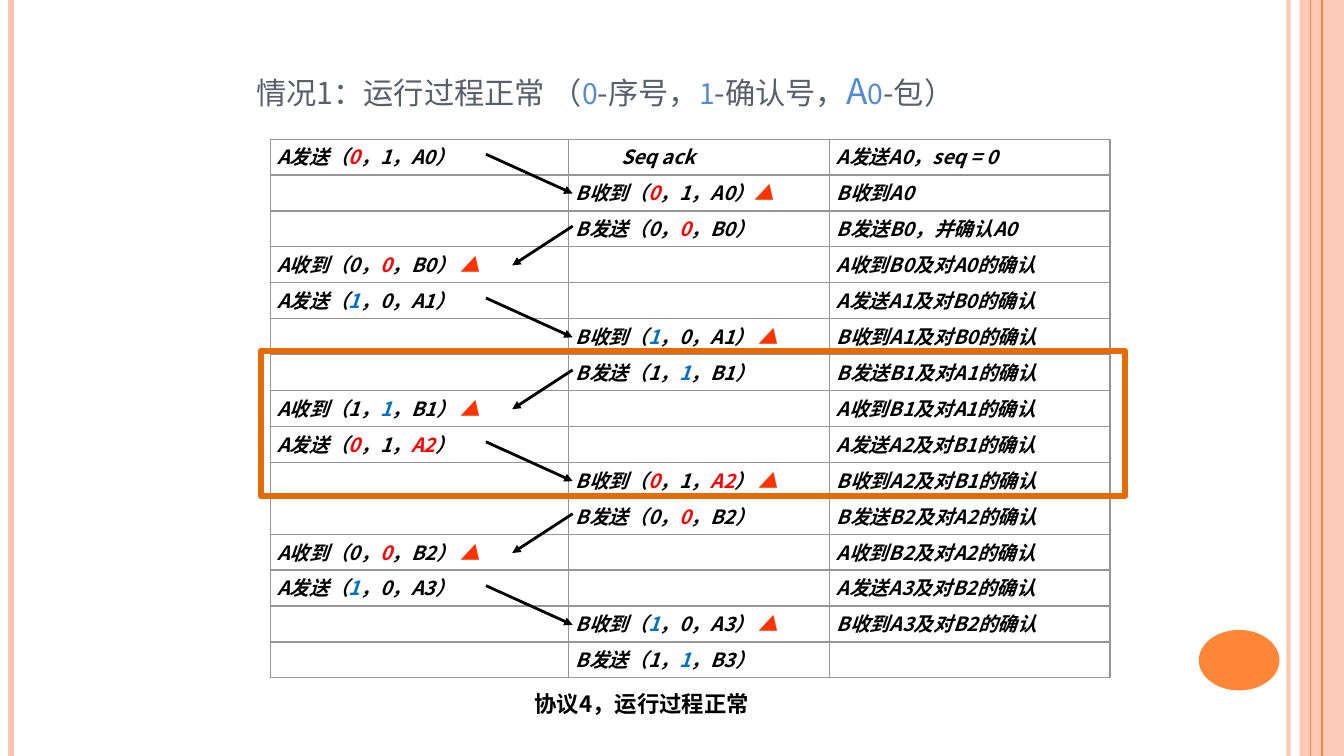
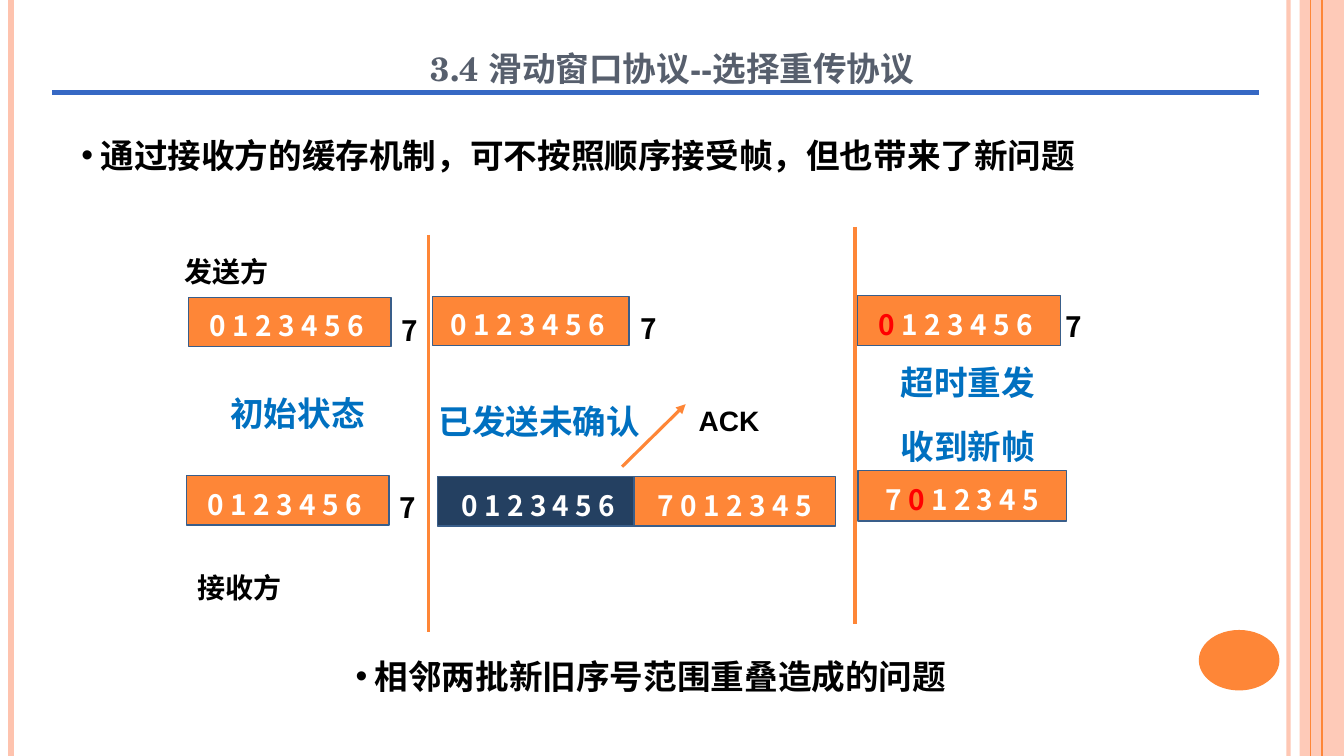
from dataclasses import dataclass
from typing import NamedTuple

from lxml import etree
from pptx import Presentation
from pptx import util as u
from pptx.dml.color import RGBColor
from pptx.enum import shapes, text
from pptx.oxml import ns

IN = u.Inches
CENTER = text.PP_ALIGN.CENTER


@dataclass(frozen=True)
class Theme:
    cjk: str = "Noto Sans CJK SC"
    sans: str = "Arial"
    serif: str = "TeX Gyre Schola"
    ink: str = "000000"
    white: str = "FFFFFF"
    title: str = "575F6D"
    title_accent: str = "538CD5"
    orange: str = "FE8637"
    peach: str = "FEC3AE"
    navy: str = "244061"
    strip_edge: str = "395E8A"
    blue: str = "0070C0"
    red: str = "FF0000"
    marker: str = "FF3300"
    grid: str = "969696"
    highlight: str = "E36C09"
    rule: str = "3668C4"
    cell_size: float = 14
    caption_size: float = 16
    label_size: float = 20
    body_size: float = 24
    accent_size: float = 25.2
    case_size: float = 27
    title_size: float = 30


T = Theme()


class Run(NamedTuple):
    text: str
    color: str | None = None
    size: float | None = None


class Box(NamedTuple):
    x: float
    y: float
    w: float
    h: float


class Style(NamedTuple):
    size: float
    color: str = T.ink
    font: str = T.cjk
    bold: bool = True
    italic: bool = False
    small_caps: bool = False


class Line(NamedTuple):
    x1: float
    y1: float
    x2: float
    y2: float
    color: str
    width: float
    arrow: bool = False
    alpha: int = 100


class Label(NamedTuple):
    box: Box
    text: str
    style: Style


class Strip(NamedTuple):
    box: Box
    runs: list[Run]
    fill: str = T.orange


class Frame(NamedTuple):
    sender: str
    seq: int
    ack: int
    name: str
    sent_note: str
    got_note: str
    name_color: str | None = None
    gap: str = " "


CELL = Style(T.cell_size, italic=True)
SIDE = Style(T.label_size, font=T.sans)
DIGIT = Style(T.label_size)
STRIP = Style(T.label_size, T.white)
STATE = Style(T.body_size, T.blue)
BULLET = Style(T.body_size, font=T.sans)


def rgb(value: str) -> RGBColor:
    return RGBColor.from_string(value)


def place(sp, box: Box) -> None:
    sp.left, sp.top, sp.width, sp.height = map(IN, box)


def write(p, runs: list[Run], style: Style, align=None, spacing=None) -> None:
    font = p.font
    font.size, font.bold, font.italic = u.Pt(style.size), style.bold, style.italic
    font.color.rgb = rgb(style.color)
    font.name = style.font
    props = p._p.xpath("./a:pPr/a:defRPr")[0]
    etree.SubElement(props, ns.qn("a:ea"), typeface=T.cjk)
    if style.small_caps:
        props.set("cap", "small")
    if align is not None:
        p.alignment = align
    if spacing:
        p.line_spacing = spacing
    for run in runs:
        r = p.add_run()
        r.text = run.text
        if run.color:
            r.font.color.rgb = rgb(run.color)
        if run.size:
            r.font.size = u.Pt(run.size)


def set_alpha(sp, percent: int) -> None:
    color = sp.element.spPr.xpath(".//a:srgbClr")[0]
    etree.SubElement(color, ns.qn("a:alpha"), val=str(percent * 1000))


def add_line(slide, line: Line):
    ends = map(IN, (line.x1, line.y1, line.x2, line.y2))
    sp = slide.shapes.add_connector(shapes.MSO_CONNECTOR.STRAIGHT, *ends)
    sp.line.color.rgb = rgb(line.color)
    sp.line.width = u.Pt(line.width)
    if line.alpha < 100:
        set_alpha(sp, line.alpha)
    if line.arrow:
        etree.SubElement(sp.line._ln, ns.qn("a:tailEnd"), type="triangle")
    etree.SubElement(sp.element.spPr, ns.qn("a:effectLst"))
    return sp


def add_shape(slide, box: Box, fill: str | None = None, edge: str | None = None,
              width: float = 1, kind=shapes.MSO_SHAPE.RECTANGLE):
    sp = slide.shapes.add_shape(kind, *map(IN, box))
    sp.shadow.inherit = False
    if fill:
        sp.fill.solid()
        sp.fill.fore_color.rgb = rgb(fill)
    else:
        sp.fill.background()
    if edge:
        sp.line.color.rgb = rgb(edge)
        sp.line.width = u.Pt(width)
    else:
        sp.line.fill.background()
    return sp


def add_label(slide, label: Label) -> None:
    tf = slide.shapes.add_textbox(*map(IN, label.box)).text_frame
    tf.word_wrap = True
    write(tf.paragraphs[0], [Run(label.text)], label.style, CENTER, 1.2)


def add_strip(slide, strip: Strip) -> None:
    tf = add_shape(slide, strip.box, strip.fill, T.strip_edge).text_frame
    tf.vertical_anchor = text.MSO_ANCHOR.MIDDLE
    write(tf.paragraphs[0], strip.runs, STRIP, CENTER, 1.2)


def set_title(slide, box: Box, runs: list[Run], style: Style, align, spacing=None) -> None:
    sp = slide.shapes.title
    place(sp, box)
    tf = sp.text_frame
    tf.auto_size = text.MSO_AUTO_SIZE.NONE
    tf.vertical_anchor = text.MSO_ANCHOR.BOTTOM
    write(tf.paragraphs[0], runs, style, align, spacing)


def set_bullet(sp, box: Box, content: str, spacing: float) -> None:
    place(sp, box)
    tf = sp.text_frame
    tf.auto_size = text.MSO_AUTO_SIZE.NONE
    p = tf.paragraphs[0]
    write(p, [Run(content)], BULLET, CENTER, spacing)
    p.space_before = u.Pt(7.5)
    pPr = p._p.get_or_add_pPr()
    pPr.set("marL", str(IN(0.19)))
    pPr.set("indent", str(-IN(0.19)))


def decorate_master(prs, slide) -> None:
    band = add_shape(slide, Box(12.89, 0, 0.44, 7.5), T.peach)
    set_alpha(band, 87)
    rails = [(12.78, T.peach, 3, 93), (0.11, T.peach, 4.5, 100),
             (13.11, T.orange, 1.5, 100), (13, T.orange, 0.75, 100)]
    parts = [band] + [add_line(slide, Line(x, 0, x, 7.5, color, width, alpha=alpha))
                      for x, color, width, alpha in rails]
    parts.append(add_shape(slide, Box(11.89, 6.25, 0.8, 0.6), T.orange,
                           kind=shapes.MSO_SHAPE.OVAL))
    tree = prs.slide_master.shapes.element
    for i, sp in enumerate(parts):
        sp.element.xpath(".//p:cNvPr")[0].set("id", str(100 + i))
        tree.insert(2 + i, sp.element)


def frame_runs(frame: Frame, actor: str) -> list[Run]:
    received = actor != frame.sender
    numbers = [Run(str(n)) for n in (frame.seq, frame.ack)]
    key = 0 if frame.sender == "A" else 1
    numbers[key] = Run(numbers[key].text, (T.red, T.blue)[int(numbers[key].text)])
    runs = [Run(f"{actor}{'收到' if received else '发送'}（"), numbers[0], Run("，"),
            numbers[1], Run("，"), Run(frame.name, frame.name_color)]
    runs.append(Run("）" + (frame.gap if received else "")))
    return runs + [Run("▲", T.marker)] if received else runs


def exchange() -> list[Frame]:
    frames = [Frame("A", 0, 1, "A0", "A发送A0，seq = 0", "B收到A0", gap=""),
              Frame("B", 0, 0, "B0", "B发送B0，并确认A0", "A收到B0及对A0的确认")]
    for i in range(2, 8):
        sender, receiver = ("A", "B") if i % 2 == 0 else ("B", "A")
        n = i // 2
        name, previous = f"{sender}{n}", frames[-1].name
        note = f"{name}及对{previous}的确认"
        frames.append(Frame(sender, n % 2, n % 2 if sender == "B" else 1 - n % 2, name,
                            f"{sender}发送{note}" if name != "B3" else "",
                            f"{receiver}收到{note}", T.red if name == "A2" else None))
    return frames


def add_exchange_table(slide, frames: list[Frame], box: Box, row_count: int) -> None:
    table = slide.shapes.add_table(row_count, 3, *map(IN, box)).table
    table.first_row = table.horz_banding = False
    for column, width in zip(table.columns, (2.96, 2.59, 2.78)):
        column.width = IN(width)
    for i, row in enumerate(table.rows):
        row.height = IN(box.h / row_count)
        frame = frames[i // 2]
        actor = frame.sender if i % 2 == 0 else "BA"["AB".index(frame.sender)]
        note = frame.got_note if i % 2 else frame.sent_note
        content = {"AB".index(actor): frame_runs(frame, actor)}
        if note:
            content[2] = [Run(note)]
        if i == 0:
            content[1] = [Run("Seq ack")]
        for j, cell in enumerate(row.cells):
            cell.margin_left = cell.margin_right = IN(0.07)
            cell.margin_top = cell.margin_bottom = IN(0.03)
            tcPr = cell._tc.get_or_add_tcPr()
            for side in ("lnL", "lnR", "lnT", "lnB"):
                ln = etree.SubElement(tcPr, ns.qn(f"a:{side}"), w=str(u.Pt(1)))
                fill = etree.SubElement(ln, ns.qn("a:solidFill"))
                etree.SubElement(fill, ns.qn("a:srgbClr"), val=T.grid)
            cell.fill.background()
            write(cell.text_frame.paragraphs[0], content.get(j, []), CELL)
    header = table.cell(0, 1).text_frame.paragraphs[0]
    header._p.get_or_add_pPr().set("marL", str(IN(0.45)))


def build_normal_run(slide) -> None:
    frames, box, row_count = exchange(), Box(2.68, 1.38, 8.33, 5.35), 15
    add_exchange_table(slide, frames, box, row_count)
    for i, frame in enumerate(frames[:-1]):
        y = box.y + 2 * i * box.h / row_count + 0.15
        x1, x2 = (4.82, 5.68) if frame.sender == "A" else (5.68, 5.08)
        add_line(slide, Line(x1, y, x2, y + 0.39, T.ink, 2, arrow=True))
    add_label(slide, Label(Box(4.47, 6.74, 3.79, 0.42), "协议4，运行过程正常",
                           Style(T.caption_size)))
    add_shape(slide, Box(2.59, 3.48, 8.57, 1.44), edge=T.highlight, width=4.5)
    runs = [Run("情况1：运行过程正常 （")]
    for key, meaning in (("0", "-序号，"), ("1", "-确认号，"), ("A0", "-包）")):
        runs += [Run(key, T.title_accent, T.accent_size), Run(meaning)]
    set_title(slide, Box(2.44, 0.58, 8.72, 0.58), runs,
              Style(T.case_size, T.title, bold=False, small_caps=True), text.PP_ALIGN.LEFT)


def build_selective_repeat(slide) -> None:
    set_title(slide, Box(2.22, 0.1, 8.9, 0.84), [Run("3.4 滑动窗口协议--选择重传协议")],
              Style(T.title_size, T.title, T.serif, small_caps=True), CENTER, 1.2)
    top, bottom = list(slide.placeholders)[1:]
    set_bullet(top, Box(0.52, 1.26, 10.43, 0.99),
               "通过接收方的缓存机制，可不按照顺序接受帧，但也带来了新问题", 1.08)
    set_bullet(bottom, Box(2.15, 6.38, 8.61, 0.99), "相邻两批新旧序号范围重叠造成的问题", 1.2)
    first = [Run("0 1 2 3 4 5 6 ")]
    for strip in (
        Strip(Box(1.87, 2.95, 2.01, 0.49), first),
        Strip(Box(1.85, 4.72, 2.01, 0.49), first),
        Strip(Box(4.29, 2.94, 1.95, 0.49), first),
        Strip(Box(4.34, 4.73, 2, 0.49), [Run("0 1 2 3 4 5 6")], T.navy),
        Strip(Box(6.29, 4.73, 2, 0.49), [Run("7 0 1 2 3 4 5")]),
        Strip(Box(8.51, 4.67, 2.07, 0.5), [Run("7 "), Run("0", T.red), Run(" 1 2 3 4 5")]),
        Strip(Box(8.5, 2.93, 2.02, 0.5), [Run("0 ", T.red), Run("1 2 3 4 5 6 ")]),
    ):
        add_strip(slide, strip)
    for x, y in ((3.86, 2.99), (3.84, 4.75), (6.23, 2.97), (10.44, 2.96)):
        add_label(slide, Label(Box(x, y, 0.41, 0.5), "7", DIGIT))
    for x, y, name in ((1.7, 2.41, "发送方"), (1.83, 5.54, "接收方"), (6.68, 3.89, "ACK")):
        add_label(slide, Label(Box(x, y, 1.1, 0.5), name, SIDE))
    for x, y, w, name in ((2.1, 3.77, 1.7, "初始状态"), (4.23, 3.85, 2.24, "已发送未确认"),
                          (8.44, 3.46, 2.32, "超时重发"), (8.44, 4.1, 2.32, "收到新帧")):
        add_label(slide, Label(Box(x, y, w, 0.59), name, STATE))
    for line in (Line(4.25, 2.33, 4.25, 6.27, T.orange, 2.25),
                 Line(8.48, 2.25, 8.48, 6.19, T.orange, 2.25),
                 Line(6.17, 4.63, 6.8, 4.01, T.orange, 2.25, arrow=True),
                 Line(0.52, 0.92, 12.49, 0.92, T.rule, 3.5)):
        add_line(slide, line)


def main() -> None:
    prs = Presentation()
    prs.slide_width, prs.slide_height = IN(13.33), IN(7.5)
    title_only, two_content = prs.slide_layouts[5], prs.slide_layouts[3]
    normal_run = prs.slides.add_slide(title_only)
    decorate_master(prs, normal_run)
    build_normal_run(normal_run)
    build_selective_repeat(prs.slides.add_slide(two_content))
    prs.save("out.pptx")


if __name__ == "__main__":
    main()
